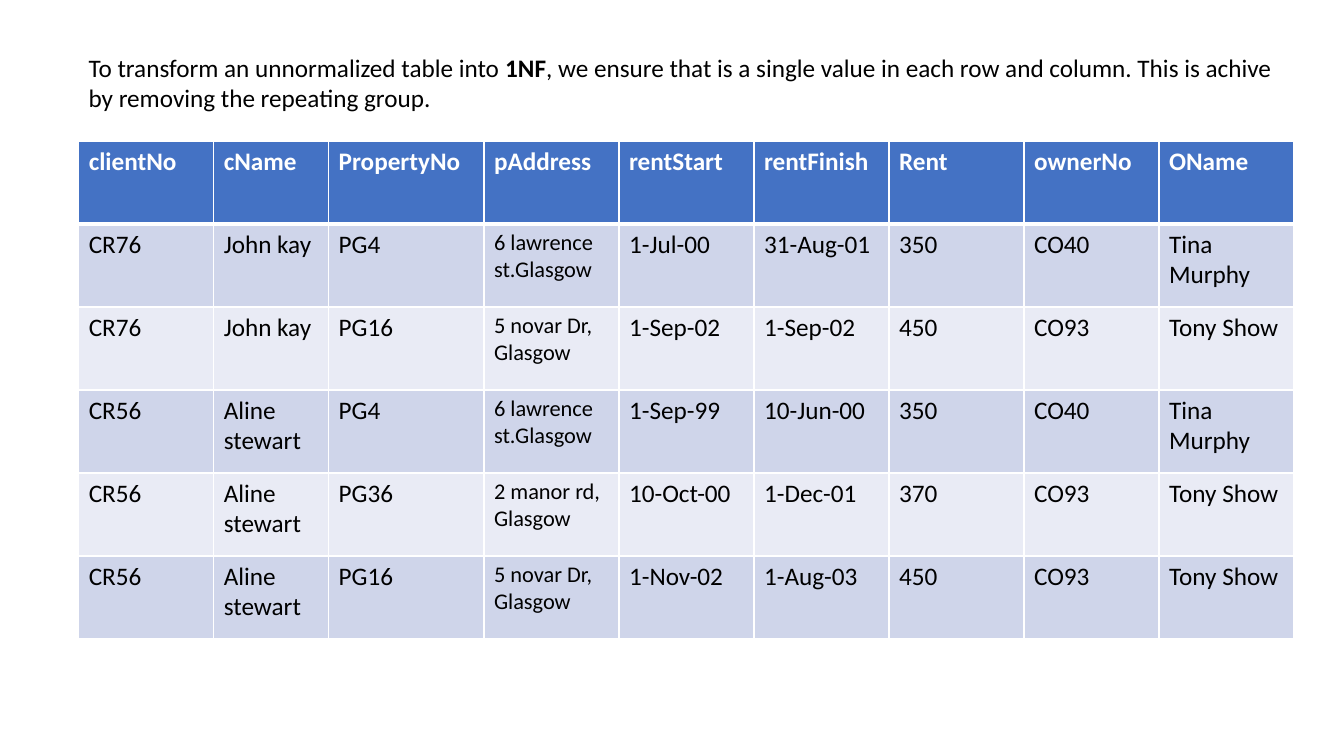
from lxml.etree import SubElement
from pptx import Presentation
from pptx.dml.color import RGBColor
from pptx.enum.text import MSO_AUTO_SIZE as AutoSize
from pptx.oxml.ns import qn
from pptx.util import Pt

LEFT, WIDTH = 56.2, 868.3
WHITE, BLACK = "FFFFFF", "000000"
HEADER_BLUE, BANDS = "4472C4", ("CFD5EA", "E9EBF5")
ROW_HEIGHT = 59.28
COLUMN_WIDTHS = [96.45, 82.1, 111] + [96.45] * 6
ADDRESS_COLUMN = 3

INTRO = [
    ("To transform an unnormalized table into ", False),
    ("1NF", True),
    (", we ensure that is a single value in each row and column. "
     "This is achive by removing the repeating group.", False),
]

RENTALS = [
    ["clientNo", "cName", "PropertyNo", "pAddress", "rentStart", "rentFinish",
     "Rent", "ownerNo", "OName"],
    ["CR76", "John kay", "PG4", "6 lawrence st.Glasgow", "1-Jul-00", "31-Aug-01",
     "350", "CO40", "Tina Murphy"],
    ["CR76", "John kay", "PG16", "5 novar Dr,\nGlasgow", "1-Sep-02", "1-Sep-02",
     "450", "CO93", "Tony Show"],
    ["CR56", "Aline stewart", "PG4", "6 lawrence st.Glasgow", "1-Sep-99", "10-Jun-00",
     "350", "CO40", "Tina Murphy"],
    ["CR56", "Aline stewart", "PG36", "2 manor rd, Glasgow", "10-Oct-00", "1-Dec-01",
     "370", "CO93", "Tony Show"],
    ["CR56", "Aline stewart", "PG16", "5 novar Dr,\nGlasgow", "1-Nov-02", "1-Aug-03",
     "450", "CO93", "Tony Show"],
]


def color(hex_code):
    return RGBColor.from_string(hex_code)


class SlideBuilder:
    """Holds the text style and the slide being filled."""

    def __init__(self, slide, font="Calibri", size=18):
        self.slide = slide
        self.font = font
        self.size = size

    def style(self, run, hex_code, bold=False, size=None):
        run.font.name = self.font
        run.font.size = Pt(size or self.size)
        run.font.bold = bold
        run.font.color.rgb = color(hex_code)

    def text(self, left, top, width, height, parts):
        box = self.slide.shapes.add_textbox(Pt(left), Pt(top), Pt(width), Pt(height))
        frame = box.text_frame
        frame.word_wrap = True
        frame.auto_size = AutoSize.SHAPE_TO_FIT_TEXT
        for words, bold in parts:
            run = frame.paragraphs[0].add_run()
            run.text = words
            self.style(run, BLACK, bold)

    def table(self, left, top, widths, row_height, rows):
        frame = self.slide.shapes.add_table(
            len(rows), len(widths), Pt(left), Pt(top),
            Pt(sum(widths)), Pt(row_height * len(rows)))
        table = frame.table
        for column, width in zip(table.columns, widths):
            column.width = Pt(width)
        for r, values in enumerate(rows):
            table.rows[r].height = Pt(row_height)
            for c, value in enumerate(values):
                self.cell(table.cell(r, c), r, c, value)

    def cell(self, cell, row, column, value):
        is_header = row == 0
        cell.text_frame.text = value
        for paragraph in cell.text_frame.paragraphs:
            for run in paragraph.runs:
                self.style(run, WHITE if is_header else BLACK, is_header,
                           16 if column == ADDRESS_COLUMN and not is_header else None)
        self.borders(cell, top=3 if row == 1 else 1, bottom=3 if is_header else 1)
        cell.fill.solid()
        cell.fill.fore_color.rgb = color(HEADER_BLUE if is_header else BANDS[(row - 1) % 2])

    def borders(self, cell, top, bottom):
        """Draw white cell edges; call before the fill, which must follow them in the XML."""
        properties = cell._tc.get_or_add_tcPr()
        for edge, width in (("L", 1), ("R", 1), ("T", top), ("B", bottom)):
            line = SubElement(properties, qn(f"a:ln{edge}"), w=str(Pt(width)))
            SubElement(SubElement(line, qn("a:solidFill")), qn("a:srgbClr"), val=WHITE)


def main():
    deck = Presentation()
    deck.slide_width, deck.slide_height = Pt(960), Pt(540)
    builder = SlideBuilder(deck.slides.add_slide(deck.slide_layouts[6]))
    builder.text(LEFT, 33.8, WIDTH, 51, INTRO)
    builder.table(LEFT, 100.8, COLUMN_WIDTHS, ROW_HEIGHT, RENTALS)
    deck.save("out.pptx")


if __name__ == "__main__":
    main()
